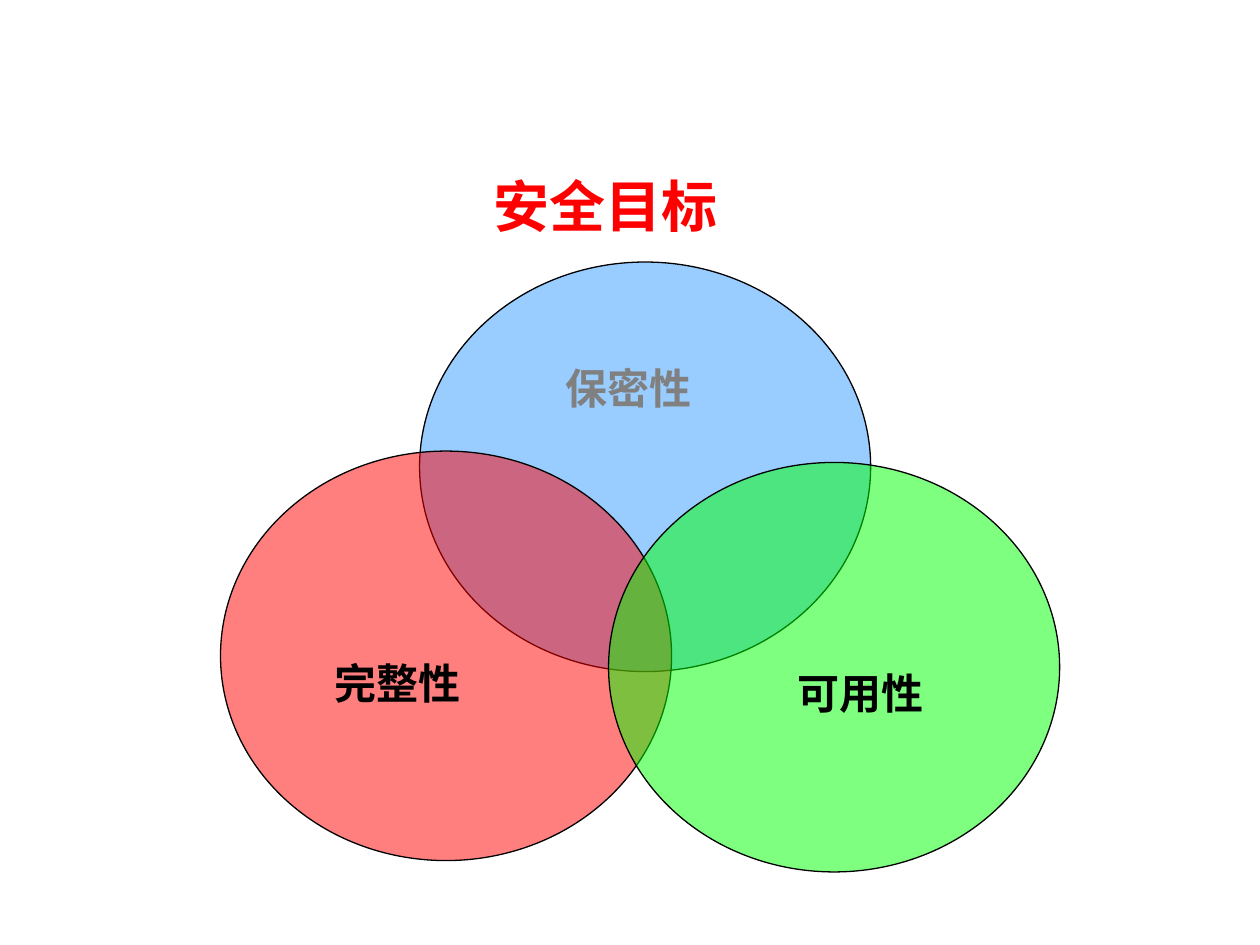
"""Builds a slide with three overlapping circles for the security goals."""
import pptx
import pptx.dml.color
import pptx.enum.shapes
import pptx.enum.text
import pptx.oxml.ns
import pptx.util
from lxml import etree

Inches = pptx.util.Inches


def color(value):
    return pptx.dml.color.RGBColor.from_string(value)


class SlideBuilder:
    circle_size = (3.58, 3.25)
    label_height = 0.5
    label_format = {"name": "Comic Neue", "size": pptx.util.Pt(24), "bold": True}
    title_format = {"name": "Arial", "size": pptx.util.Pt(32), "bold": True}

    def __init__(self, presentation):
        self.slide = presentation.slides.add_slide(presentation.slide_layouts[6])

    def circle(self, left, top, fill, opacity=100):
        shape = self.slide.shapes.add_shape(
            pptx.enum.shapes.MSO_SHAPE.OVAL,
            Inches(left), Inches(top), *map(Inches, self.circle_size))
        shape.shadow.inherit = False
        shape.fill.solid()
        shape.fill.fore_color.rgb = color(fill)
        shape.line.color.rgb = color("000000")
        shape.line.width = pptx.util.Pt(0.75)
        if opacity < 100:
            fill_color = shape.fill._xPr.find(".//" + pptx.oxml.ns.qn("a:srgbClr"))
            alpha = etree.SubElement(fill_color, pptx.oxml.ns.qn("a:alpha"))
            alpha.set("val", str(opacity * 1000))

    def text(self, words, box, font_color, font_format, alignment, anchor):
        shape = self.slide.shapes.add_textbox(*map(Inches, box))
        frame = shape.text_frame
        frame.word_wrap = True
        frame.vertical_anchor = anchor
        paragraph = frame.paragraphs[0]
        paragraph.alignment = alignment
        run = paragraph.add_run()
        run.text = words
        for name, value in font_format.items():
            setattr(run.font, name, value)
        run.font.color.rgb = color(font_color)

    def title(self, words, box, font_color):
        self.text(words, box, font_color, self.title_format,
                  pptx.enum.text.PP_ALIGN.CENTER, pptx.enum.text.MSO_ANCHOR.MIDDLE)

    def label(self, words, left, top, width, font_color="000000"):
        self.text(words, (left, top, width, self.label_height), font_color,
                  self.label_format, pptx.enum.text.PP_ALIGN.LEFT,
                  pptx.enum.text.MSO_ANCHOR.TOP)


def main():
    presentation = pptx.Presentation()
    presentation.slide_width = Inches(10)
    presentation.slide_height = Inches(7.5)
    builder = SlideBuilder(presentation)

    builder.title("安全目标", (0.75, 1.23, 8.11, 0.79), "FF0000")
    builder.circle(3.33, 2.08, "99CCFF")
    builder.circle(1.75, 3.58, "FF0000", opacity=50)
    builder.circle(4.83, 3.67, "00FF00", opacity=50)
    builder.label("完整性", 2.56, 5.17, 1.41)
    builder.label("保密性", 4.39, 2.83, 1.48, "808080")
    builder.label("可用性", 6.23, 5.25, 1.29)

    presentation.save("out.pptx")


if __name__ == "__main__":
    main()
